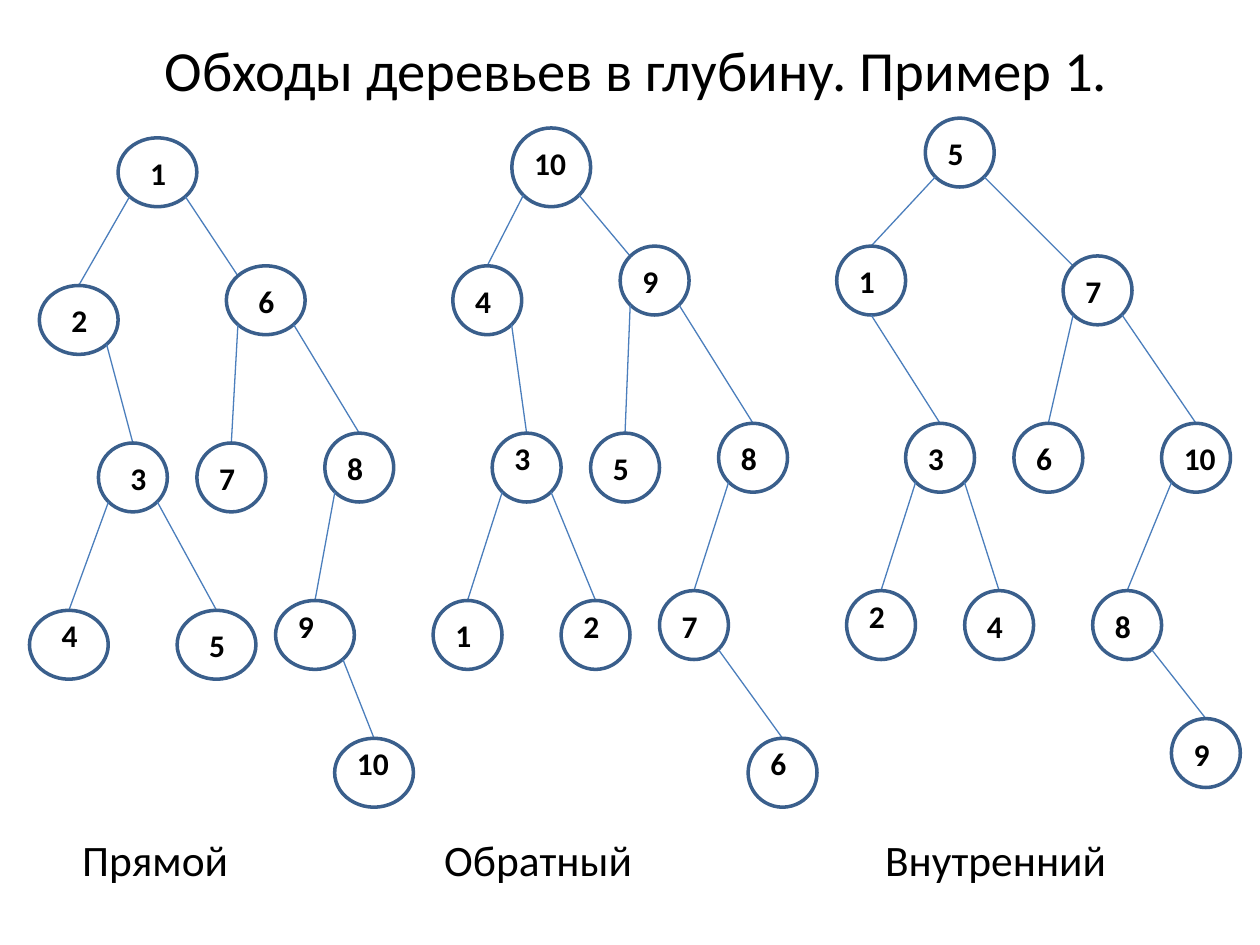
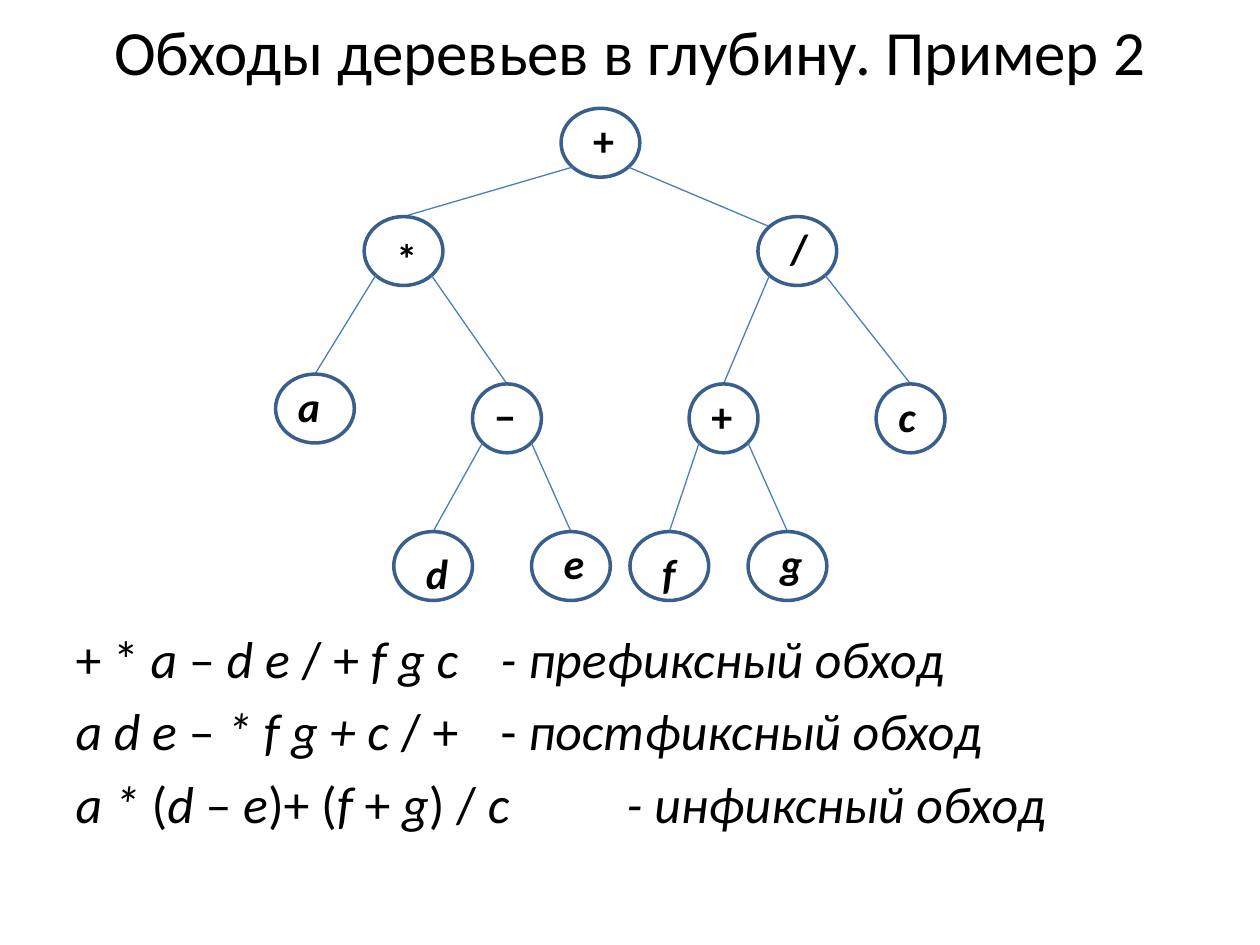
"""Builds two slides that compare depth-first traversals of binary trees."""
from dataclasses import dataclass
from math import sqrt
from typing import Optional

from pptx import Presentation
from pptx.dml.color import RGBColor
from pptx.enum.shapes import MSO_CONNECTOR as Line, MSO_SHAPE as Shape
from pptx.enum.text import MSO_AUTO_SIZE as AutoSize
from pptx.oxml.ns import qn
from pptx.util import Cm, Pt
from lxml.etree import SubElement

GRID = Cm(25.4) / 128
LABEL_WIDTHS = {"10": 1.17, "+": 0.94, "*": 0.94, "/": 0.89, "−": 0.94, "a": 0.97,
                "c": 0.86, "d": 0.97, "e": 0.94, "f": 0.79, "g": 0.89}
DIGIT_WIDTH = 0.84


def color(hex_string):
    return RGBColor.from_string(hex_string)


@dataclass
class Node:
    label: str
    x: int
    y: int
    width: int = 7
    height: int = 7
    shift: tuple = (1, 1)
    left: Optional["Node"] = None
    right: Optional["Node"] = None
    right_exit: tuple = (1, 1)

    def site(self, across, down):
        reach = 1 / sqrt(across ** 2 + down ** 2)
        return (self.x + self.width / 2 * (1 + across * reach),
                self.y + self.height / 2 * (1 + down * reach))


class Deck:
    font = "Calibri"
    ink = "000000"
    outline = "3A5F8C"
    edge_color = "4B7EBC"
    hanging = Cm(0.95)

    def __init__(self):
        self.presentation = Presentation()
        self.presentation.slide_width = Cm(25.4)
        self.presentation.slide_height = Cm(19.05)
        self.slide = None

    def add_slide(self):
        layout = self.presentation.slide_layouts[1]
        self.slide = self.presentation.slides.add_slide(layout)

    def run(self, paragraph, text, size, bold=None, italic=None):
        run = paragraph.add_run()
        run.text = text
        run.font.name = self.font
        run.font.size = Pt(size)
        run.font.bold = bold
        run.font.italic = italic
        run.font.color.rgb = color(self.ink)

    def place(self, index, box):
        holder = self.slide.placeholders[index]
        holder.left, holder.top, holder.width, holder.height = map(Cm, box)
        holder.text_frame.auto_size = AutoSize.NONE
        return holder.text_frame

    def title(self, text, box, size):
        frame = self.place(0, box)
        self.run(frame.paragraphs[0], text, size)

    def body(self, lines, box, size):
        frame = self.place(1, box)
        for number, runs in enumerate(lines):
            paragraph = frame.add_paragraph() if number else frame.paragraphs[0]
            properties = paragraph._p.get_or_add_pPr()
            properties.set("marL", str(int(self.hanging)))
            properties.set("indent", str(-int(self.hanging)))
            SubElement(properties, qn("a:buNone"))
            for text, italic in runs:
                self.run(paragraph, text, size, italic=italic)

    def edge(self, start, end):
        ends = [round(value * GRID) for value in (*start, *end)]
        edge = self.slide.shapes.add_connector(Line.STRAIGHT, *ends)
        edge.line.color.rgb = color(self.edge_color)
        edge.line.width = Pt(0.75)
        SubElement(edge._element.spPr, qn("a:effectLst"))

    def circle(self, node):
        box = [round(value * GRID) for value in (node.x, node.y, node.width, node.height)]
        circle = self.slide.shapes.add_shape(Shape.OVAL, *box)
        circle.shadow.inherit = False
        circle.fill.background()
        circle.line.color.rgb = color(self.outline)
        circle.line.width = Pt(2)

    def label(self, node, size, height):
        across, down = node.shift
        width = LABEL_WIDTHS.get(node.label, DIGIT_WIDTH)
        label = self.slide.shapes.add_textbox(
            round((node.x + across) * GRID), round((node.y + down) * GRID),
            Cm(width), Cm(height))
        label.text_frame.word_wrap = False
        label.text_frame.auto_size = AutoSize.SHAPE_TO_FIT_TEXT
        self.run(label.text_frame.paragraphs[0], node.label, size, bold=True,
                 italic=node.label.isalpha() or None)

    def tree(self, node, size, height, is_root=True):
        self.circle(node)
        self.label(node, size, height)
        if node.left:
            self.edge(node.site(-1, 1), node.left.site(0, -1))
            self.tree(node.left, size, height, False)
        if node.right:
            entry = (-1, -1) if is_root else (0, -1)
            self.edge(node.site(*node.right_exit), node.right.site(*entry))
            self.tree(node.right, size, height, False)


PREORDER = Node(
    "1", 12, 14, 8, shift=(2, 1),
    left=Node("2", 4, 29, 8, shift=(2, 1),
              right=Node("3", 10, 45, shift=(2, 1),
                         left=Node("4", 3, 62, 8, shift=(2, 0)),
                         right=Node("5", 18, 62, 8, shift=(2, 1)))),
    right=Node("6", 23, 27, 8, shift=(2, 1),
               left=Node("7", 20, 45),
               right=Node("8", 33, 44,
                          left=Node("9", 28, 61, 8, shift=(1, 0),
                                    right=Node("10", 34, 75, 8, shift=(1, 0))))))

POSTORDER = Node(
    "10", 52, 13, 8, 8,
    left=Node("4", 46, 27,
              right=Node("3", 50, 44, shift=(1, 0),
                         left=Node("1", 44, 61),
                         right=Node("2", 57, 61, shift=(1, 0)))),
    right=Node("9", 63, 25,
               left=Node("5", 60, 44),
               right=Node("8", 73, 43,
                          left=Node("7", 67, 60,
                                    right=Node("6", 76, 75, shift=(1, 0))))))

INORDER = Node(
    "5", 94, 12,
    left=Node("1", 85, 25, right_exit=(0, 1),
              right=Node("3", 92, 43,
                         left=Node("2", 86, 60, shift=(1, 0)),
                         right=Node("4", 98, 60))),
    right=Node("7", 108, 26,
               left=Node("6", 103, 43),
               right=Node("10", 118, 43,
                          left=Node("8", 111, 60,
                                    right=Node("9", 119, 73)))))

EXPRESSION = Node(
    "+", 57, 11, 8, shift=(2, 0),
    left=Node("*", 37, 22, 8, shift=(2, 1),
              left=Node("a", 28, 38, 8, shift=(1, 0)),
              right=Node("−", 48, 39, shift=(1, 0),
                         left=Node("d", 40, 54, 8, shift=(2, 1)),
                         right=Node("e", 54, 54, 8, shift=(2, 0)))),
    right=Node("/", 77, 22, 8, shift=(2, 0),
               left=Node("+", 70, 39, shift=(1, 0),
                         left=Node("f", 64, 54, 8, shift=(2, 1)),
                         right=Node("g", 76, 54, 8, shift=(2, 0))),
               right=Node("c", 89, 39, shift=(1, 0))))

ORDER_NAMES = [[("Прямой\t\t\t\tОбратный\t\t\t\t\tВнутренний", None)]]

NOTATIONS = [
    [("+ * ", False), ("a", True), (" – ", False), ("d e ", True),
     ("/ + ", False), ("f g c\t- префиксный обход", True)],
    [("a d e ", True), ("–", False), (" * f g + c ", True),
     ("/ +\t- ", False), ("постфиксный обход", True)],
    [("a * ", True), ("(", False), ("d ", True), ("–", False),
     (" e", True), (")+ (", False), ("f ", True), ("+", False),
     (" g", True), (") /", False), (" c\t\t- инфиксный обход", True)],
]


def main():
    deck = Deck()

    deck.add_slide()
    deck.title("Обходы деревьев в глубину. Пример 1.", (1.4, 0.58, 22.86, 1.63), 32.4)
    deck.body(ORDER_NAMES, (1.4, 16.66, 22.86, 1.14), 24.8)
    for traversal in (PREORDER, POSTORDER, INORDER):
        deck.tree(traversal, 18, 1.02)

    deck.add_slide()
    deck.title("Обходы деревьев в глубину. Пример 2", (1.27, 0.41, 22.86, 1.19), 36)
    deck.body(NOTATIONS, (1.27, 12.5, 22.86, 4.52), 29.6)
    deck.tree(EXPRESSION, 24, 1.27)

    deck.presentation.save("out.pptx")


if __name__ == "__main__":
    main()
